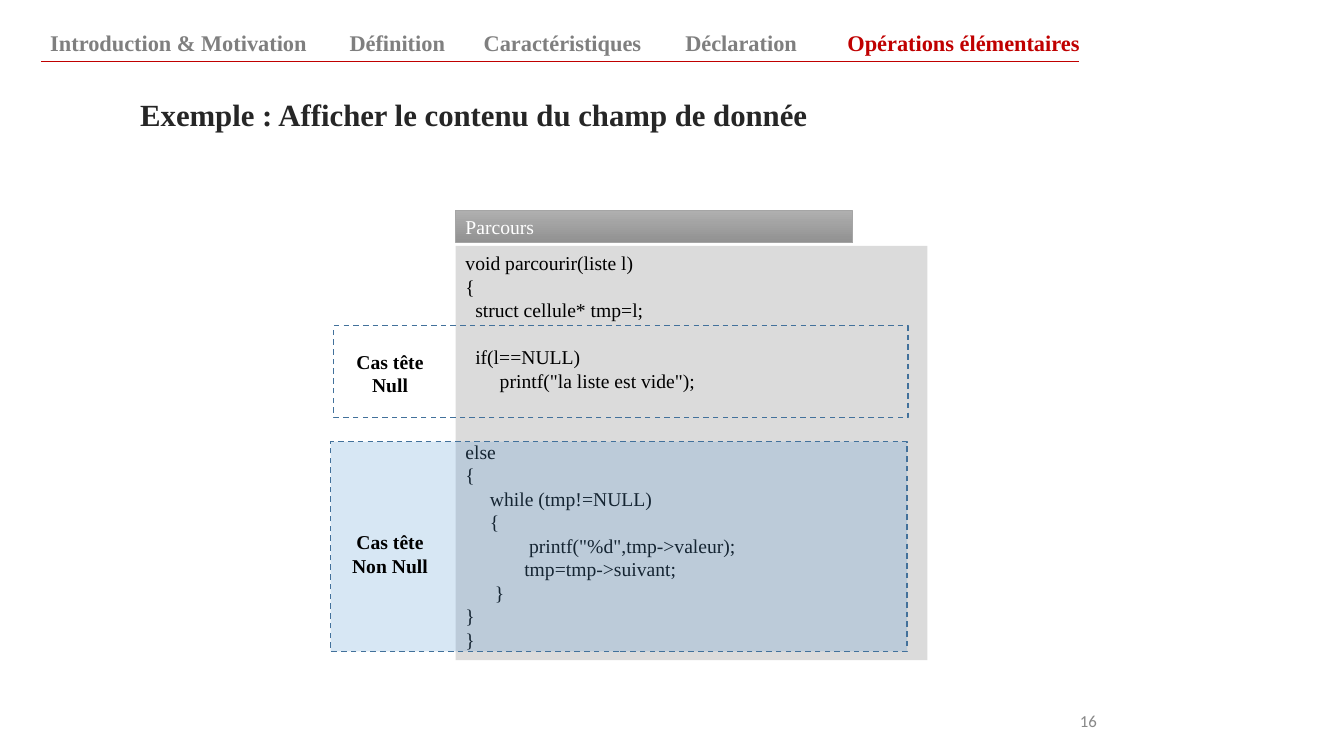
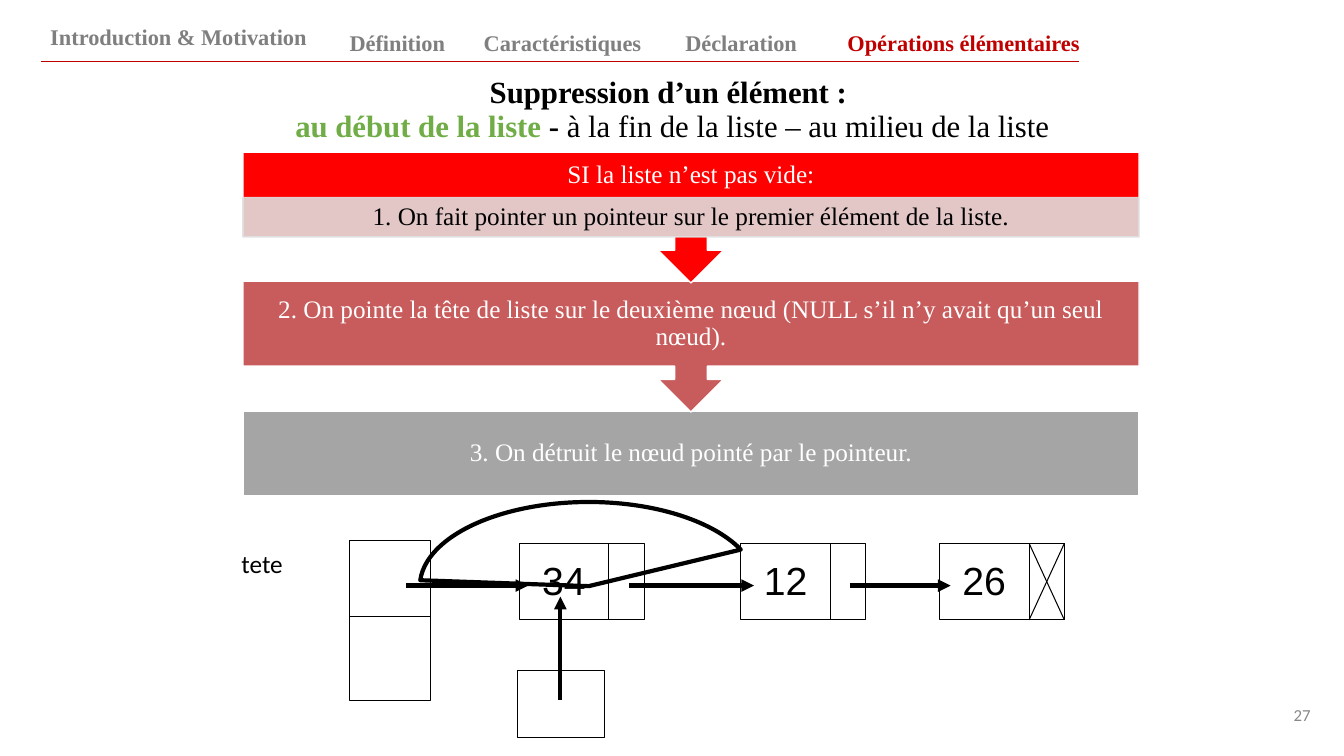
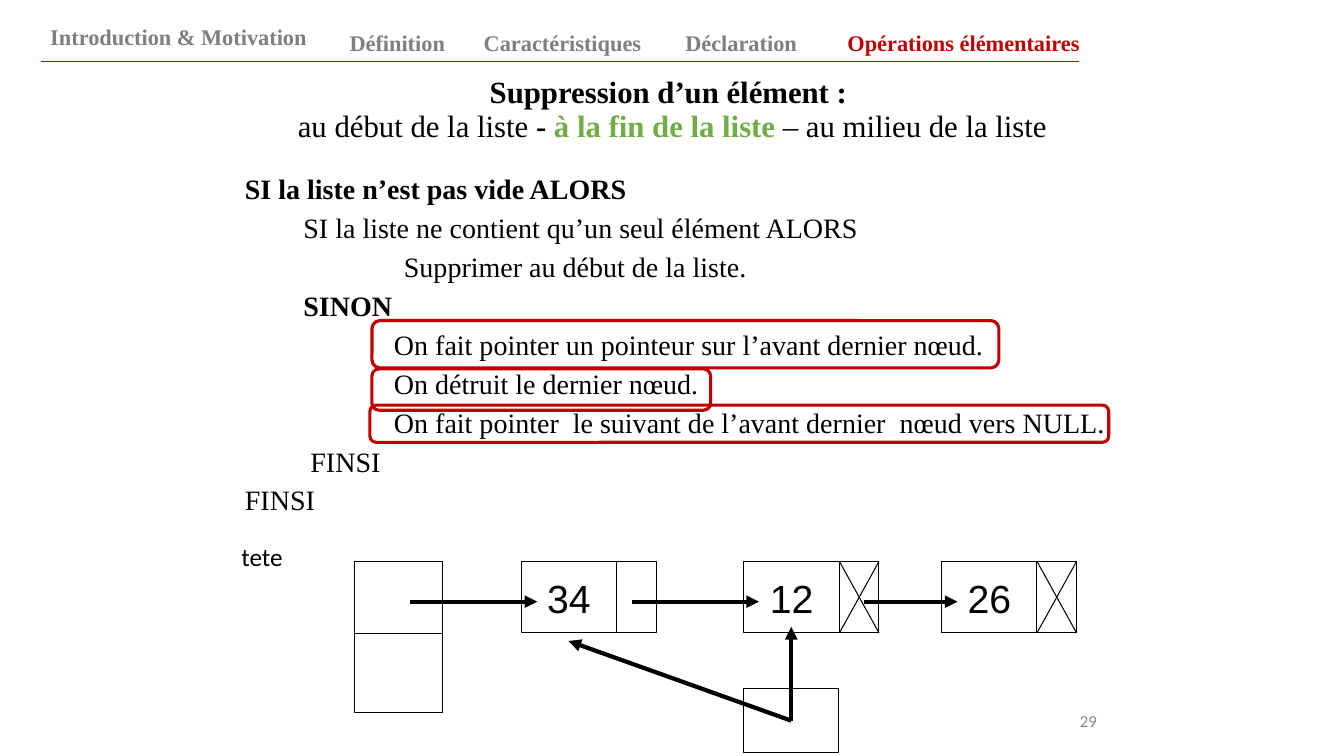
"""Build three slides of a lesson on linked lists."""
from lxml import etree
from pptx import Presentation
from pptx.dml.color import RGBColor
from pptx.enum.dml import MSO_LINE
from pptx.enum.shapes import MSO_CONNECTOR, MSO_SHAPE
from pptx.enum.text import MSO_ANCHOR, MSO_AUTO_SIZE, PP_ALIGN
from pptx.oxml.ns import qn
from pptx.util import Pt

RECT, ROUND, PIE = MSO_SHAPE.RECTANGLE, MSO_SHAPE.ROUNDED_RECTANGLE, MSO_SHAPE.PIE
CALL = MSO_SHAPE.DOWN_ARROW_CALLOUT
STRAIGHT, DASH = MSO_CONNECTOR.STRAIGHT, MSO_LINE.DASH
LEFT, MID, RIGHT = PP_ALIGN.LEFT, PP_ALIGN.CENTER, PP_ALIGN.RIGHT
TOP, MIDDLE, BOTTOM = MSO_ANCHOR.TOP, MSO_ANCHOR.MIDDLE, MSO_ANCHOR.BOTTOM

BLACK, WHITE = RGBColor(0, 0, 0), RGBColor(255, 255, 255)
DARK, GRAY = RGBColor(0x26, 0x26, 0x26), RGBColor(0x7F, 0x7F, 0x7F)
PALE, MUTED = RGBColor(0xDB, 0xDB, 0xDB), RGBColor(0x88, 0x88, 0x88)
STEEL, LIGHT = RGBColor(0xA5, 0xA5, 0xA5), RGBColor(0xE0, 0xE0, 0xE0)
SHADES = RGBColor(0xAF, 0xAF, 0xAF), RGBColor(0x91, 0x91, 0x91)
BLUE, NAVY = RGBColor(0x5B, 0x9B, 0xD5), RGBColor(0x42, 0x71, 0x9B)
GREEN, RED = RGBColor(0x70, 0xAD, 0x47), RGBColor(0xC0, 0, 0)
BRIGHT, ROSE = RGBColor(0xFE, 0, 0), RGBColor(0xC8, 0x5B, 0x5B)
SERIF, SANS, ARIAL = "Times New Roman", "Calibri", "Arial"

TABS = [
    ("Introduction & Motivation", 28.8, 214.5),
    ("Définition", 242.6, 89.3),
    ("Caractéristiques", 338.4, 137.5),
    ("Déclaration", 482.4, 97.2),
    ("Opérations élémentaires", 593.3, 190),
]

SPACE, LINE = 3.5, 16.9
CODE = [
    (0, 0, "void parcourir(liste l)"),
    (0, 0, "{"),
    (2, 0, "struct cellule* tmp=l;"),
    (2, 1, "if(l==NULL)"),
    (7, 0, "printf(\"la liste est vide\");"),
    (0, 2, "else"),
    (0, 0, "{"),
    (5, 0, "while (tmp!=NULL)"),
    (5, 0, "{"),
    (13, 0, "printf(\"%d\",tmp->valeur);"),
    (12, 0, "tmp=tmp->suivant;"),
    (6, 0, "}"),
    (0, 0, "}"),
    (0, 0, "}"),
]
CASES = [
    ((238.3, 232.6, 410.4, 65.5), None, 246.2, ["Cas tête", "Null"]),
    ((236.2, 315.4, 411.8, 149.8), BLUE, 375.1, ["Cas tête", "Non Null"]),
]

HEAD = "Suppression d’un élément : "
START = [[(HEAD, BLACK, True)],
         [("au début de la liste ", GREEN, True), ("- ", BLACK, True),
          ("à la fin de la liste – au milieu de la liste", BLACK, False)]]
END = [[(HEAD, BLACK, True)],
       [("au début de la liste ", BLACK, False), ("- ", BLACK, True),
        ("à la fin de la liste", GREEN, True),
        (" – au milieu de la liste", BLACK, False)]]

STEPS = [
    (RECT, 293.8, 60.5, STEEL, 10,
     "3. On détruit le nœud pointé par le pointeur."),
    (CALL, 200.9, 93.4, ROSE, 10,
     "2. On pointe la tête de liste sur le deuxième nœud "
     "(NULL s’il n’y avait qu’un seul nœud)."),
    (CALL, 108.7, 93.4, BRIGHT, 38, "SI la liste n’est pas vide:"),
]
FIRST = "1. On fait pointer un pointeur sur le premier élément de la liste."

ALGO = [
    (0, True, "SI la liste n’est pas vide ALORS"),
    (41.8, False, "SI la liste ne contient qu’un seul élément ALORS"),
    (113.6, False, "Supprimer au début de la liste."),
    (41.8, True, "SINON"),
    (106.5, False, "On fait pointer un pointeur sur l’avant dernier nœud."),
    (106.5, False, "On détruit le dernier nœud."),
    (106.5, False,
     "On fait pointer  le suivant de l’avant dernier  nœud vers NULL."),
    (46.8, False, "FINSI"),
    (0, False, "FINSI"),
]
MARKS = [(265.7, 229, 447.8, 33.8), (265.7, 263.5, 241.9, 29.5),
         (264.2, 289.4, 527.8, 26.6)]

VALUES = ["34", "12", "26"]
CHAINS = {
    "start": dict(
        left=[370.8, 529.2, 671], top=388.1, size=(89.3, 54.7), cut=64.1,
        head=(249.8, 385.9, 57.6, 114.5), split=440.6,
        box=(369.4, 478.8, 62.6, 48.2), cross=[2], row=418.3, pad=9.4,
        links=[(290.2, 377.3), (449.3, 538.6), (607, 679)],
        rays=[(400.3, 499.7, 400.3, 426.2)], name=(154.1, 364.3, 66.2, 76.3)),
    "end": dict(
        left=[372.2, 531.4, 672.5], top=401, size=(96.5, 51.1), cut=68.2,
        head=(253.4, 401, 62.6, 108), split=452.2,
        box=(531.4, 491.8, 67.7, 45.4), cross=[1, 2], row=429.8, pad=11.5,
        links=[(293, 383.8), (451.4, 542.2), (617, 684)],
        rays=[(565.2, 514.8, 406.1, 457.9), (565.2, 514.8, 565.2, 447.8)],
        name=(151.2, 367.2, 72, 60.5)),
}


def write(frame, rows, size, color=BLACK, bold=False, font=SERIF, align=LEFT,
          anchor=TOP, pitch=None):
    """Fill a text frame with rows of text or of (text, colour, bold) runs."""
    frame.word_wrap = True
    frame.auto_size = MSO_AUTO_SIZE.NONE
    frame.vertical_anchor = anchor
    frame.margin_left = frame.margin_right = Pt(7.2)
    frame.margin_top = frame.margin_bottom = Pt(3.6)
    for i, row in enumerate(rows):
        para = frame.add_paragraph() if i else frame.paragraphs[0]
        para.alignment = align
        if pitch:
            para.line_spacing = pitch
        runs = [(row, color, bold)] if isinstance(row, str) else row
        for text, tint, heavy in runs:
            run = para.add_run()
            run.text = text
            run.font.name, run.font.size = font, Pt(size)
            run.font.bold, run.font.color.rgb = heavy, tint
    return frame


def shift(para, left):
    """Indent a whole paragraph."""
    para._p.get_or_add_pPr().set("marL", str(int(Pt(left))))


def label(slide, place, rows, size, **style):
    """Add a text box."""
    return write(slide.shapes.add_textbox(*map(Pt, place)).text_frame,
                 rows, size, **style)


def shape(slide, kind, place, fill=None, line=None, width=0.75):
    """Add a flat preset shape."""
    item = slide.shapes.add_shape(kind, *map(Pt, place))
    item.shadow.inherit = False
    if fill is None:
        item.fill.background()
    else:
        item.fill.solid()
        item.fill.fore_color.rgb = fill
    if line is None:
        item.line.fill.background()
    else:
        item.line.color.rgb, item.line.width = line, Pt(width)
    return item


def fade(item, share):
    """Set the opacity, in percent, of each colour of a shape."""
    for tint in item.element.spPr.iter(qn("a:srgbClr")):
        etree.SubElement(tint, qn("a:alpha")).set("val", str(share * 1000))


def stroke(slide, ends, color=BLACK, width=0.75, arrow=False):
    """Add a straight line or an arrow."""
    item = slide.shapes.add_connector(STRAIGHT, *map(Pt, ends))
    item.line.color.rgb, item.line.width = color, Pt(width)
    props = item.element.spPr
    if arrow:
        etree.SubElement(props.find(qn("a:ln")), qn("a:tailEnd")).set(
            "type", "triangle")
    etree.SubElement(props, qn("a:effectLst"))


def begin(deck, rows, place, number, spot, lift=0, **style):
    """Add a slide with its title, tabs, rule and page number."""
    slide = deck.slides.add_slide(deck.slide_layouts[5])
    title = slide.shapes.title
    title.left, title.top, title.width, title.height = map(Pt, place)
    write(title.text_frame, rows, 22, **style)
    last = len(TABS) - 1
    for i, (text, left, width) in enumerate(TABS):
        top = 13.7 - (0 if i else lift)
        label(slide, (left, top, width, 29.5), [text], 16, bold=True,
              color=RED if i == last else GRAY, anchor=BOTTOM,
              align=MID if i == last else LEFT)
    stroke(slide, (29.5, 43.9, 770.4, 43.9), RED)
    label(slide, (*spot, 162, 28.8), [number], 12, color=MUTED, font=SANS,
          align=RIGHT, anchor=MIDDLE)
    return slide


def chain(slide, left, top, size, cut, head, split, box, cross, row, pad,
          links, rays, name):
    """Draw a linked list with its head and its pointer."""
    wide, high = size
    foot = top + high
    shape(slide, RECT, head, WHITE, BLACK)
    stroke(slide, (head[0], split, head[0] + head[2], split))
    shape(slide, RECT, box, WHITE, BLACK)
    for i, (x, value) in enumerate(zip(left, VALUES)):
        shape(slide, RECT, (x, top, wide, high), WHITE, BLACK)
        mid, end = x + cut, x + wide
        stroke(slide, (mid, top, mid, foot))
        if i in cross:
            stroke(slide, (mid, top, end, foot))
            stroke(slide, (mid, foot, end, top))
        label(slide, (x + pad, top + 5.8, 51, 41), [value], 28, font=ARIAL)
    for ends in [(a, row, b, row) for a, b in links] + rays:
        stroke(slide, ends, width=3, arrow=True)
    label(slide, name, ["tete"], 18, font=SANS, align=MID, anchor=MIDDLE)


def show(deck):
    """Build the slide with the code."""
    slide = begin(deck, ["Exemple : Afficher le contenu du champ de donnée"],
                  (92.9, 51.8, 646.6, 42.5), "16", (628.6, 500.4),
                  color=DARK, bold=True, pitch=1.5)
    panel = shape(slide, RECT, (325.4, 175.7, 337, 295.9), PALE)
    frame = write(panel.text_frame, [text for _, _, text in CODE], 14)
    for para, (depth, gap, _) in zip(frame.paragraphs, CODE):
        shift(para, depth * SPACE)
        para.space_before = Pt(gap * LINE)
    bar = shape(slide, RECT, (325.4, 150.5, 283.7, 23), STEEL, STEEL)
    bar.fill.gradient()
    bar.fill.gradient_angle = 270
    for stop, tint in zip(bar.fill.gradient_stops, SHADES):
        stop.color.rgb = tint
    write(bar.text_frame, ["Parcours"], 14, color=WHITE, anchor=MIDDLE)
    for place, fill, top, rows in CASES:
        area = shape(slide, RECT, place, fill)
        if fill is not None:
            fade(area, 24)
        area.line.color.rgb, area.line.width = NAVY, Pt(1)
        area.line.dash_style = DASH
        label(slide, (240.6, top, 76, 41), rows, 14, bold=True, align=MID)


def drop(deck):
    """Build the slide on removal at the start."""
    slide = begin(deck, START, (62.6, 49, 835.2, 59.8), "27", (781.2, 496.1),
                  3.6, align=MID, anchor=MIDDLE, pitch=0.9)
    chain(slide, **CHAINS["start"])
    curve = shape(slide, PIE, (299.9, 358.6, 241.2, 120.2), None, BLACK, 3)
    for i, angle in enumerate((182, 346.5)):
        curve.adjustments[i] = angle * 0.6
    for kind, top, high, fill, foot, text in STEPS:
        step = shape(slide, kind, (173.5, top, 640.1, high), fill, WHITE, 1)
        frame = write(step.text_frame, [text], 18, color=WHITE, align=MID,
                      anchor=MIDDLE, pitch=0.9)
        frame.margin_left = frame.margin_right = frame.margin_top = Pt(10)
        frame.margin_bottom = Pt(foot)
    band = shape(slide, RECT, (173.5, 141.1, 640.1, 28.1), LIGHT, LIGHT, 1)
    fade(band, 89)
    frame = write(band.text_frame, [FIRST], 18, align=MID, anchor=MIDDLE,
                  pitch=0.9)
    frame.margin_top = frame.margin_bottom = Pt(1.4)


def trim(deck):
    """Build the slide on removal at the end."""
    slide = begin(deck, END, (62.6, 49, 835.2, 59.8), "29", (628.6, 500.4),
                  3.6, align=MID, anchor=MIDDLE, pitch=0.9)
    rows = [[(text, BLACK, bold)] for _, bold, text in ALGO]
    frame = label(slide, (167.8, 120.2, 635, 234.7), rows, 20, pitch=0.99)
    for i, (para, (left, _, _)) in enumerate(zip(frame.paragraphs, ALGO)):
        shift(para, left)
        para.space_before = Pt(4 if i else 0)
    chain(slide, **CHAINS["end"])
    for place in MARKS:
        shape(slide, ROUND, place, None, RED, 2.25).adjustments[0] = 0.17


def main():
    """Build and save the deck."""
    deck = Presentation()
    deck.slide_width, deck.slide_height = Pt(960), Pt(540)
    for build in (show, drop, trim):
        build(deck)
    deck.save("out.pptx")


if __name__ == "__main__":
    main()
